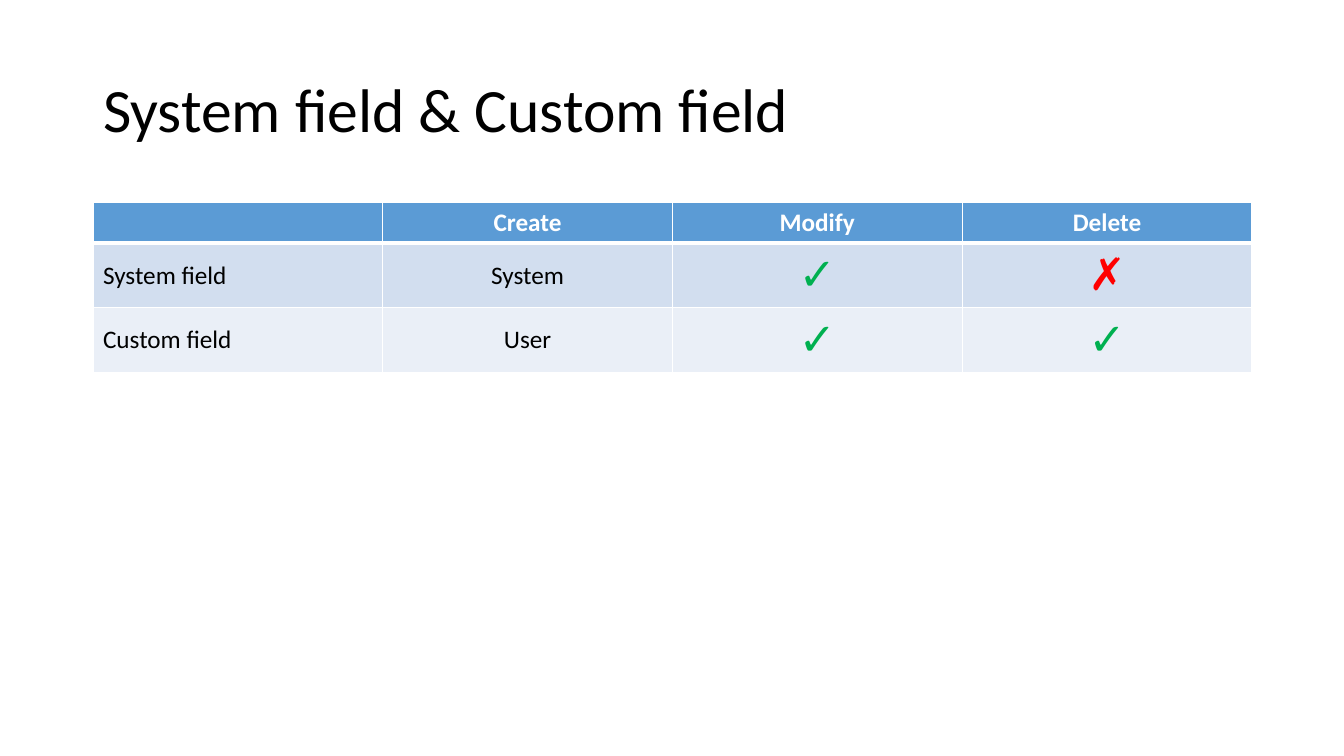
"""Build the slide that compares system fields and custom fields."""
import lxml.etree
import pptx
import pptx.dml.color
import pptx.enum.text
import pptx.oxml.ns
import pptx.util

TITLE = "System field & Custom field"
ROWS = [
    ("", "Create", "Modify", "Delete"),
    ("System field", "System", "✓", "✗"),
    ("Custom field", "User", "✓", "✓"),
]
HUES = {"text": "000000", "line": "FFFFFF", "head": "5B9BD5",
        "odd": "D2DEEF", "even": "EAEFF7", "✓": "00B050", "✗": "FF0000"}
FILLS = ("head", "odd", "even")
HIGHS = (41, 64, 64)
LEFT, TOP, WIDE = 93, 202, 1159
SCALE = 914400 / 100.8


def px(num):
    return pptx.util.Emu(round(num * SCALE))


def tint(key):
    return pptx.dml.color.RGBColor.from_string(HUES[key])


def style(para, size, key, bold=False):
    font = para.font
    font.name, font.size, font.bold = "Calibri", pptx.util.Pt(size), bold
    font.color.rgb = tint(key)


def edge(cell, side, wide):
    name = pptx.oxml.ns.qn
    line = lxml.etree.SubElement(cell._tc.get_or_add_tcPr(), name(f"a:ln{side}"),
                                 w=str(pptx.util.Pt(wide)))
    fill = lxml.etree.SubElement(line, name("a:solidFill"))
    lxml.etree.SubElement(fill, name("a:srgbClr"), val=HUES["line"])


deck = pptx.Presentation()
deck.slide_width, deck.slide_height = px(1344), px(756)
slide = deck.slides.add_slide(deck.slide_layouts[5])
align = pptx.enum.text.PP_ALIGN
anchor = pptx.enum.text.MSO_ANCHOR

title = slide.shapes.title
title.left, title.top, title.width, title.height = map(px, (LEFT, 40, WIDE, 146))
title.text_frame.text = TITLE
title.text_frame.vertical_anchor = anchor.MIDDLE
para = title.text_frame.paragraphs[0]
para.alignment, para.line_spacing = align.LEFT, 0.9
style(para, 44, "text")

grid = slide.shapes.add_table(len(ROWS), len(ROWS[0]), px(LEFT), px(TOP),
                              px(WIDE), px(sum(HIGHS))).table
for row, (words, high) in enumerate(zip(ROWS, HIGHS)):
    grid.rows[row].height = px(high)
    for col, word in enumerate(words):
        cell = grid.cell(row, col)
        mark = word in ("✓", "✗")
        cell.text = word
        cell.vertical_anchor = anchor.MIDDLE if row and not mark else anchor.TOP
        para = cell.text_frame.paragraphs[0]
        para.alignment = align.CENTER if col else align.LEFT
        style(para, 32 if mark else 18,
              word if mark else "text" if row else "line", row == 0)
        for side, wide in zip("LRTB", (1, 1, 3 if row == 1 else 1, 1 if row else 3)):
            edge(cell, side, wide)
        cell.fill.solid()
        cell.fill.fore_color.rgb = tint(FILLS[row])

deck.save("out.pptx")
